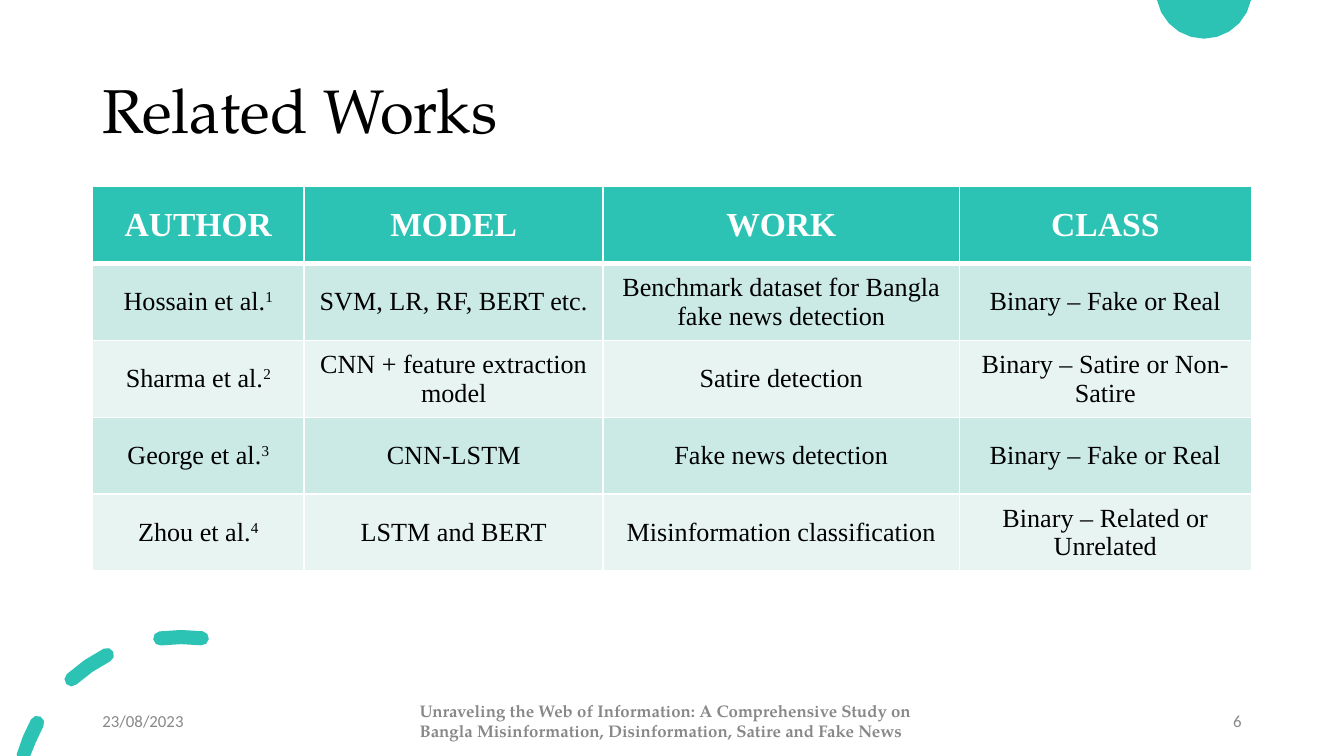
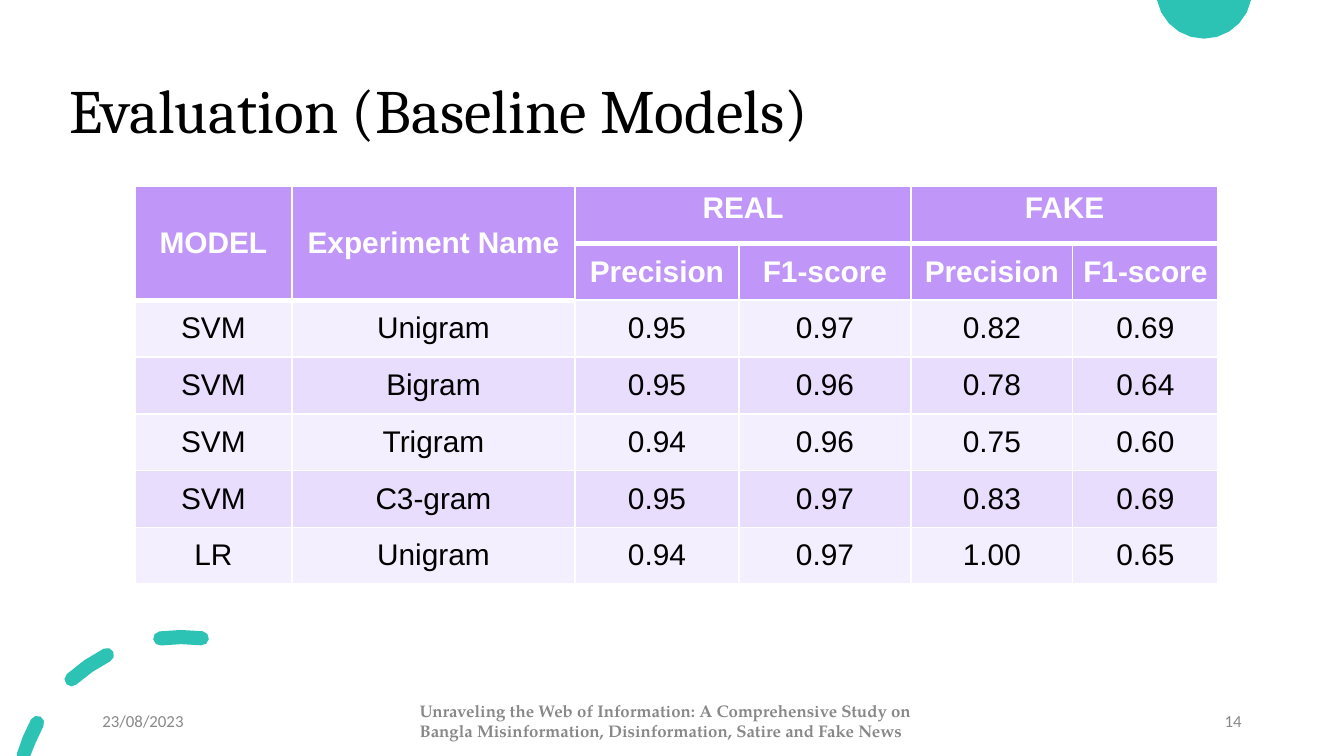
from dataclasses import dataclass
from math import cos, radians, sin

from lxml import etree
from pptx import Presentation
from pptx.dml.color import RGBColor
from pptx.enum.text import MSO_ANCHOR, PP_ALIGN
from pptx.oxml.ns import qn
from pptx.util import Pt

LEFT, MID, RIGHT = PP_ALIGN.LEFT, PP_ALIGN.CENTER, PP_ALIGN.RIGHT
TOP, CENTER = MSO_ANCHOR.TOP, MSO_ANCHOR.MIDDLE

WIDE, HIGH = 720, 405
TEAL, WHITE, BLACK, GREY = "2CC3B4", "FFFFFF", "000000", "888888"
SERIF, SANS = "TeX Gyre Pagella", "Calibri"
DATE = "23/08/2023"
STUDY = ("Unraveling the Web of Information: A Comprehensive Study on "
         "Bangla Misinformation, Disinformation, Satire and Fake News")
FOOT_Y, FOOT_H = 375.4, 21.6
TABLE_Y = 100

Point = tuple[float, float]


@dataclass
class Style:
    font: str
    size: float
    color: str = BLACK
    bold: bool = False
    align: PP_ALIGN = LEFT


@dataclass
class Box:
    left: float
    top: float
    width: float
    height: float


@dataclass
class Grid:
    left: float
    cols: list[float]
    row: float
    font: str
    head: float
    body: float
    fill: str
    bands: tuple[str, str]
    cells: list[list[str]]
    top_rows: int = 1
    tall: tuple[int, ...] = ()
    wide: tuple[int, ...] = ()


@dataclass
class Page:
    title: str
    font: str
    left: float
    number: int
    grid: Grid


WORKS = Grid(
    49.5, [113.5, 160.2, 190.8, 156.4], 41.2, "Times New Roman", 18, 14,
    TEAL, ("CBE9E5", "E7F4F2"),
    [
        ["AUTHOR", "MODEL", "WORK", "CLASS"],
        ["Hossain et al.^1", "SVM, LR, RF, BERT etc.",
         "Benchmark dataset for Bangla fake news detection",
         "Binary – Fake or Real"],
        ["Sharma et al.^2", "CNN + feature extraction model",
         "Satire detection", "Binary – Satire or Non-Satire"],
        ["George et al.^3", "CNN-LSTM", "Fake news detection",
         "Binary – Fake or Real"],
        ["Zhou et al.^4", "LSTM and BERT", "Misinformation classification",
         "Binary – Related or Unrelated"],
    ],
)
SCORES = Grid(
    72.4, [83.9, 151.9, 87.6, 92.4, 86.5, 78], 30.42, "Arial", 16, 16,
    "C097F8", ("F4EFFE", "E8DDFC"),
    [
        ["MODEL", "Experiment Name", "REAL", "", "FAKE", ""],
        ["", "", "Precision", "F1-score", "Precision", "F1-score"],
        ["SVM", "Unigram", "0.95", "0.97", "0.82", "0.69"],
        ["SVM", "Bigram", "0.95", "0.96", "0.78", "0.64"],
        ["SVM", "Trigram", "0.94", "0.96", "0.75", "0.60"],
        ["SVM", "C3-gram", "0.95", "0.97", "0.83", "0.69"],
        ["LR", "Unigram", "0.94", "0.97", "1.00", "0.65"],
    ],
    top_rows=2, tall=(0, 1), wide=(2, 4),
)
PAGES = [
    Page("Related Works", SERIF, 49.5, 6, WORKS),
    Page("Evaluation (Baseline Models)", "Cambria", 31.9, 14, SCORES),
]


def rgb(color: str) -> RGBColor:
    return RGBColor.from_string(color)


def write(para, text: str, style: Style) -> None:
    """Fill a paragraph; what follows a caret is raised."""
    para.alignment = style.align
    font = para.font
    font.name, font.size, font.bold = style.font, Pt(style.size), style.bold
    font.color.rgb = rgb(style.color)
    base, _, note = text.partition("^")
    para.add_run().text = base
    if note:
        run = para.add_run()
        run.text = note
        run._r.get_or_add_rPr().set("baseline", "30000")


def label(slide, box: Box, text: str, style: Style, space: float = 1) -> None:
    shape = slide.shapes.add_textbox(
        Pt(box.left), Pt(box.top), Pt(box.width), Pt(box.height))
    frame = shape.text_frame
    frame.word_wrap = True
    frame.vertical_anchor = CENTER
    frame.margin_left = frame.margin_right = Pt(5.4)
    frame.margin_top = frame.margin_bottom = Pt(2.7)
    para = frame.paragraphs[0]
    para.line_spacing = space
    write(para, text, style)


def arc(mid: Point, r: float, start: float, end: float,
        steps: int) -> list[Point]:
    """Points on a circle between two bearings, in degrees from the top."""
    turns = [radians(start + (end - start) * i / steps)
             for i in range(steps + 1)]
    return [(mid[0] + r * sin(t), mid[1] - r * cos(t)) for t in turns]


def dash(mid: Point, r: float, half: float, start: float,
         end: float) -> list[Point]:
    """A bent bar with round ends, cut off at the foot of the slide."""
    head, tail = arc(mid, r, end, start, 1)
    points = (arc(mid, r + half, start, end, 2)
              + arc(head, half, end, end + 180, 4)[1:-1]
              + arc(mid, r - half, end, start, 2)
              + arc(tail, half, start + 180, start + 360, 4)[1:-1])
    return [(x, min(y, HIGH)) for x, y in points]


def outline(slide, paths: list[list[Point]], color: str) -> None:
    paths = [[(Pt(x), Pt(y)) for x, y in path] for path in paths]
    build = slide.shapes.build_freeform(*paths[0][0])
    for i, path in enumerate(paths):
        if i:
            build.move_to(*path[0])
        build.add_line_segments(path[1:], close=True)
    shape = build.convert_to_shape()
    shape.shadow.inherit = False
    shape.fill.solid()
    shape.fill.fore_color.rgb = rgb(color)
    shape.line.fill.background()


def border(cell, top: float, bottom: float) -> None:
    props = cell._tc.get_or_add_tcPr()
    for side, width in zip("LRTB", (1, 1, top, bottom)):
        line = etree.SubElement(props, qn(f"a:ln{side}"), w=str(Pt(width)))
        fill = etree.SubElement(line, qn("a:solidFill"))
        etree.SubElement(fill, qn("a:srgbClr"), val=WHITE)


def table(slide, grid: Grid) -> None:
    rows, cols = len(grid.cells), len(grid.cols)
    frame = slide.shapes.add_table(
        rows, cols, Pt(grid.left), Pt(TABLE_Y),
        Pt(sum(grid.cols)), Pt(grid.row * rows))
    tab = frame.table
    tab.horz_banding = False
    for col, width in zip(tab.columns, grid.cols):
        col.width = Pt(width)
    for row in tab.rows:
        row.height = Pt(grid.row)
    for c in grid.tall:
        tab.cell(0, c).merge(tab.cell(1, c))
    for c in grid.wide:
        tab.cell(0, c).merge(tab.cell(0, c + 1))

    top = Style(grid.font, grid.head, WHITE, True, MID)
    body = Style(grid.font, grid.body, align=MID)
    for r, texts in enumerate(grid.cells):
        is_head = r < grid.top_rows
        color = grid.fill if is_head else grid.bands[(r - grid.top_rows) % 2]
        for c, text in enumerate(texts):
            cell = tab.cell(r, c)
            last = 1 if c in grid.tall else 0
            border(cell, 3 if r == last + 1 else 1, 3 if r <= last else 1)
            cell.fill.solid()
            cell.fill.fore_color.rgb = rgb(color)
            cell.margin_left = cell.margin_right = Pt(5.4)
            cell.margin_top = cell.margin_bottom = Pt(2.7)
            group = r == 0 and c in grid.wide
            cell.vertical_anchor = TOP if group else CENTER
            if text:
                write(cell.text_frame.paragraphs[0], text,
                      top if is_head else body)


def decor(slide) -> None:
    outline(slide, [arc((645, -5), 25.7, 101.2, 258.8, 10)], TEAL)
    spans = [(-74, -61.4), (-42, -27), (-7.5, 7)]
    bars = [dash((97.4, 429.5), 88.2, 3.8, *span) for span in spans]
    outline(slide, bars, TEAL)


def footer(slide, number: int) -> None:
    label(slide, Box(508.5, FOOT_Y, 162, FOOT_H), str(number),
          Style(SANS, 9, GREY, align=RIGHT))
    label(slide, Box(219.4, FOOT_Y, 280.8, FOOT_H), STUDY,
          Style(SERIF, 9, GREY, True))
    label(slide, Box(49.5, FOOT_Y, 162, FOOT_H), DATE, Style(SANS, 9, GREY))


def main() -> None:
    deck = Presentation()
    deck.slide_width, deck.slide_height = Pt(WIDE), Pt(HIGH)
    for page in PAGES:
        slide = deck.slides.add_slide(deck.slide_layouts[6])
        decor(slide)
        label(slide, Box(page.left, 21.6, 621, 78.3), page.title,
              Style(page.font, 33), 0.9)
        table(slide, page.grid)
        footer(slide, page.number)
    deck.save("out.pptx")


if __name__ == "__main__":
    main()
